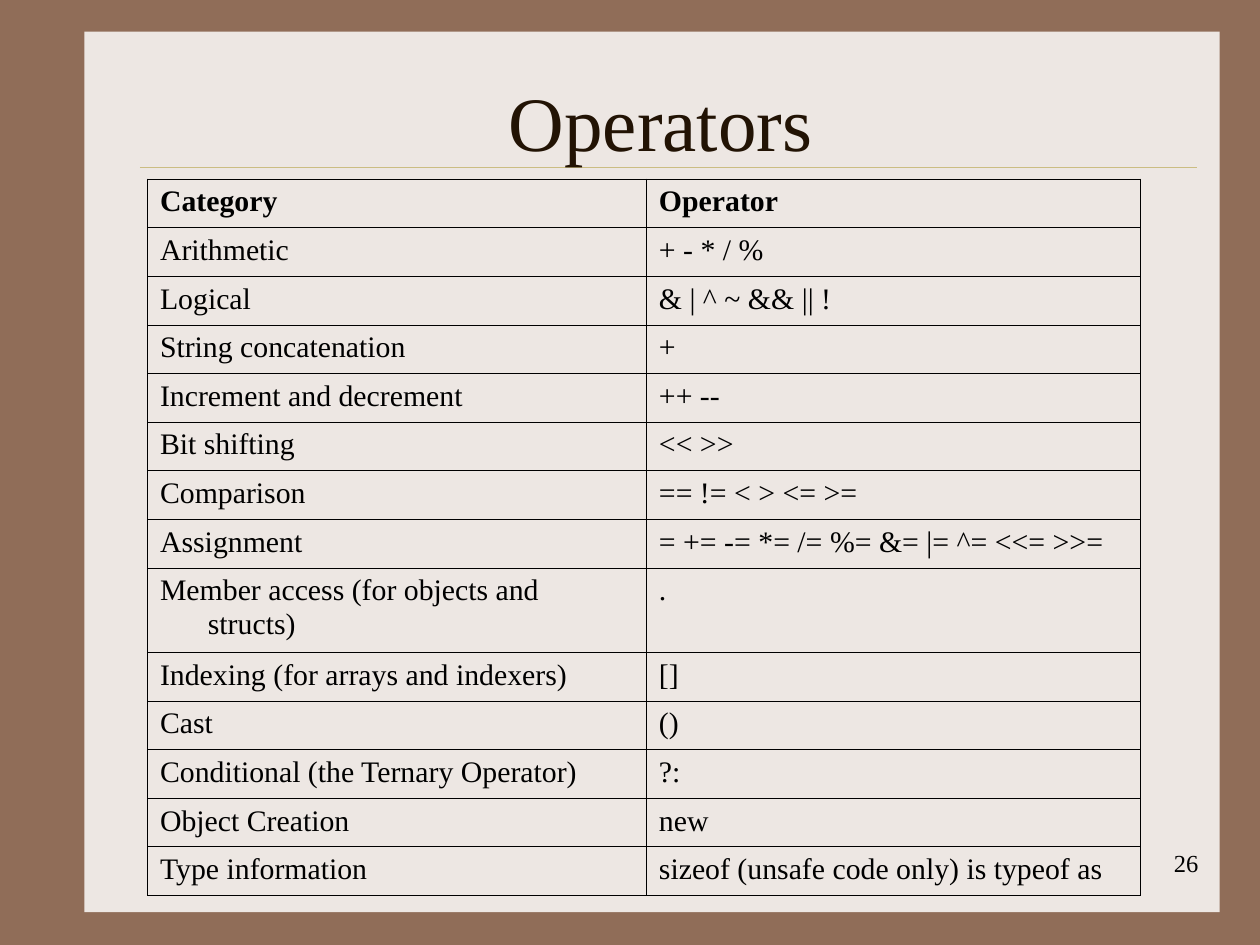
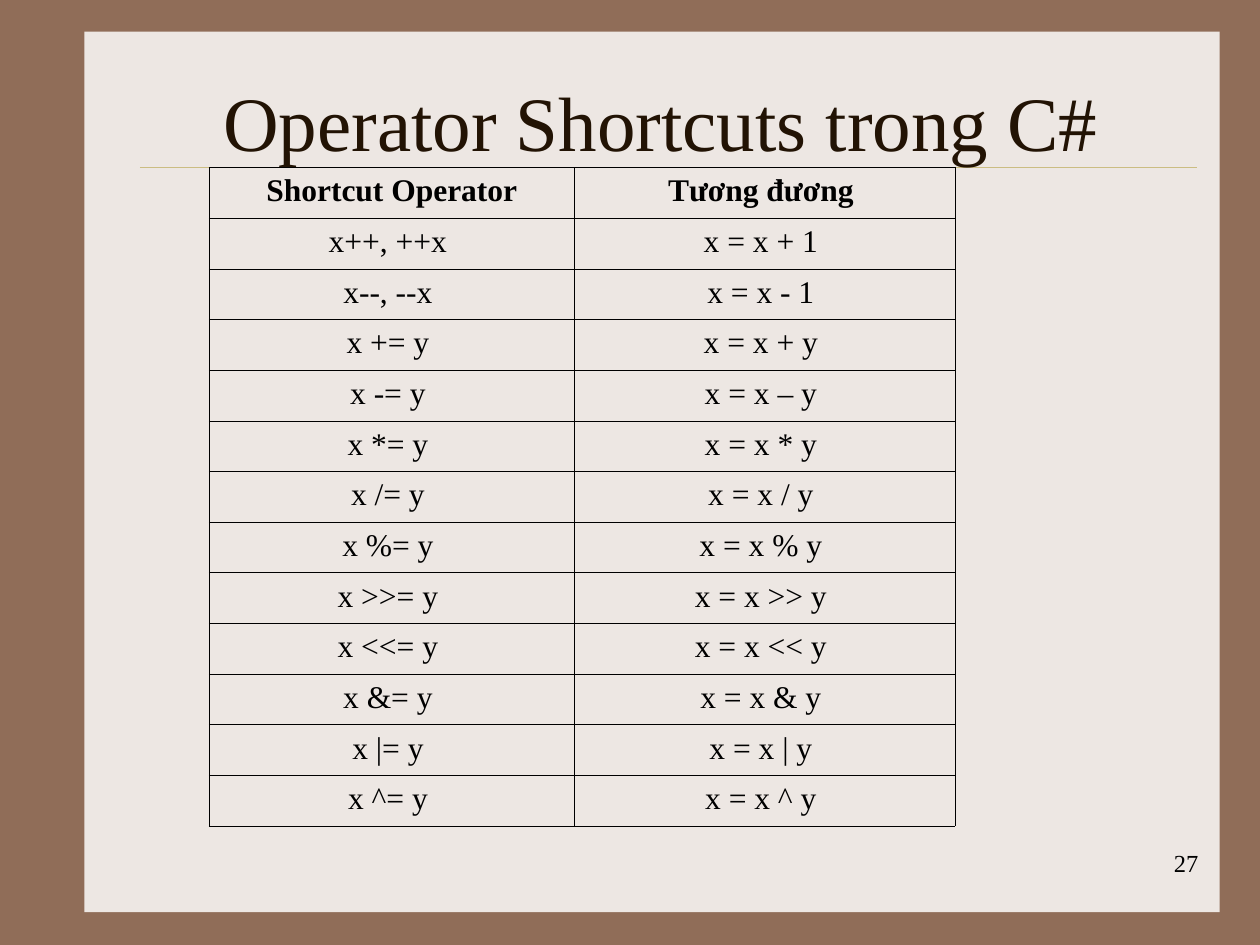
from lxml import etree
from pptx import Presentation
from pptx import util as u
from pptx.dml.color import RGBColor
from pptx.enum import shapes, text
from pptx.oxml import ns

COLOURS = {
    "frame": "906D58",
    "panel": "EDE7E3",
    "rule": "CBBD83",
    "title": "221304",
    "ink": "000000",
}

OPERATORS = [
    ("Category", "Operator"),
    ("Arithmetic", "+ - * / %"),
    ("Logical", "& | ^ ~ && || !"),
    ("String concatenation", "+"),
    ("Increment and decrement", "++ --"),
    ("Bit shifting", "<< >>"),
    ("Comparison", "== != < > <= >="),
    ("Assignment", "= += -= *= /= %= &= |= ^= <<= >>="),
    ("Member access (for objects and structs)", "."),
    ("Indexing (for arrays and indexers)", "[]"),
    ("Cast", "()"),
    ("Conditional (the Ternary Operator)", "?:"),
    ("Object Creation", "new"),
    ("Type information", "sizeof (unsafe code only) is typeof as"),
]

SHORTCUTS = [
    ("Shortcut Operator", "Tương đương "),
    ("x++, ++x ", "x = x + 1 "),
    ("x--, --x ", "x = x - 1 "),
    ("x += y ", "x = x + y "),
    ("x -= y ", "x = x – y "),
    ("x *= y ", "x = x * y "),
    ("x /= y ", "x = x / y "),
    ("x %= y ", "x = x % y "),
    ("x >>= y ", "x = x >> y "),
    ("x <<= y ", "x = x << y "),
    ("x &= y ", "x = x & y "),
    ("x |= y ", "x = x | y "),
    ("x ^= y ", "x = x ^ y "),
]


def colour(name):
    return RGBColor.from_string(COLOURS[name])


class SlideBuilder:
    font = "Times New Roman"
    border_width = u.Pt(0.34)
    hanging = u.Inches(0.38)

    def __init__(self, deck):
        self.deck = deck
        self.page = None
        fill = deck.slide_master.background.fill
        fill.solid()
        fill.fore_color.rgb = colour("frame")

    def start(self, title, number):
        self.page = self.deck.slides.add_slide(self.deck.slide_layouts[5])
        self.panel()
        self.rule()
        self.number(number)
        self.title(title)

    def panel(self):
        box = self.page.shapes.add_shape(
            shapes.MSO_SHAPE.RECTANGLE,
            u.Inches(0.67), u.Inches(0.25), u.Inches(9.01), u.Inches(6.99))
        box.shadow.inherit = False
        box.fill.solid()
        box.fill.fore_color.rgb = colour("panel")
        box.line.fill.background()

    def rule(self):
        height = u.Inches(1.33)
        line = self.page.shapes.add_connector(
            shapes.MSO_CONNECTOR.STRAIGHT,
            u.Inches(1.11), height, u.Inches(9.5), height)
        line.line.color.rgb = colour("rule")
        line.line.width = u.Pt(0.25)
        etree.SubElement(line.element.spPr, ns.qn("a:effectLst"))

    def number(self, number):
        box = self.page.shapes.add_textbox(
            u.Inches(7.53), u.Inches(6.68), u.Inches(2.08), u.Inches(0.5))
        box.text_frame.word_wrap = True
        self.add_text(box.text_frame, str(number), 14, text.PP_ALIGN.RIGHT)

    def title(self, words):
        box = self.page.shapes.title
        box.left, box.top = u.Inches(1.08), u.Inches(0.58)
        box.width, box.height = u.Inches(8.33), u.Inches(0.75)
        self.page.shapes.element.append(box.element)
        frame = box.text_frame
        frame.auto_size = text.MSO_AUTO_SIZE.NONE
        frame.vertical_anchor = text.MSO_ANCHOR.MIDDLE
        self.add_text(frame, words, 44, text.PP_ALIGN.CENTER, ink="title")

    def add_text(self, frame, words, size, align, bold=False, ink="ink"):
        para = frame.paragraphs[0]
        para.alignment = align
        span = para.add_run()
        span.text = words
        span.font.name = self.font
        span.font.size = u.Pt(size)
        span.font.bold = bold
        span.font.color.rgb = colour(ink)
        return para

    def table(self, rows, left, top, widths, height, size, align, tall_rows=None):
        tall_rows = tall_rows or {}
        row_height = (height - sum(tall_rows.values())) / (len(rows) - len(tall_rows))
        grid = self.page.shapes.add_table(
            len(rows), len(widths), u.Inches(left), u.Inches(top),
            u.Inches(sum(widths)), u.Inches(height)).table
        grid.first_row = grid.horz_banding = False
        for column, width in zip(grid.columns, widths):
            column.width = u.Inches(width)
        for index, words in enumerate(rows):
            grid.rows[index].height = u.Inches(tall_rows.get(index, row_height))
            for cell, entry in zip(grid.rows[index].cells, words):
                self.borders(cell)
                cell.fill.background()
                para = self.add_text(cell.text_frame, entry, size, align, bold=index == 0)
                indent = para._p.get_or_add_pPr()
                indent.set("marL", str(self.hanging))
                indent.set("indent", str(-self.hanging))

    def borders(self, cell):
        properties = cell._tc.get_or_add_tcPr()
        for side in ("lnL", "lnR", "lnT", "lnB"):
            line = etree.SubElement(
                properties, ns.qn(f"a:{side}"), w=str(self.border_width))
            fill = etree.SubElement(line, ns.qn("a:solidFill"))
            etree.SubElement(fill, ns.qn("a:srgbClr"), val=COLOURS["ink"])


def main():
    deck = Presentation()
    deck.slide_width, deck.slide_height = u.Inches(10), u.Inches(7.5)
    builder = SlideBuilder(deck)

    builder.start("Operators", 26)
    builder.table(OPERATORS, 1.17, 1.42, (3.96, 3.92), 5.69, 17,
                  text.PP_ALIGN.LEFT, tall_rows={8: 0.67})

    builder.start("Operator Shortcuts trong C#", 27)
    builder.table(SHORTCUTS, 1.66, 1.33, (2.9, 3.02), 5.23, 18,
                  text.PP_ALIGN.CENTER)

    deck.save("out.pptx")


if __name__ == "__main__":
    main()
